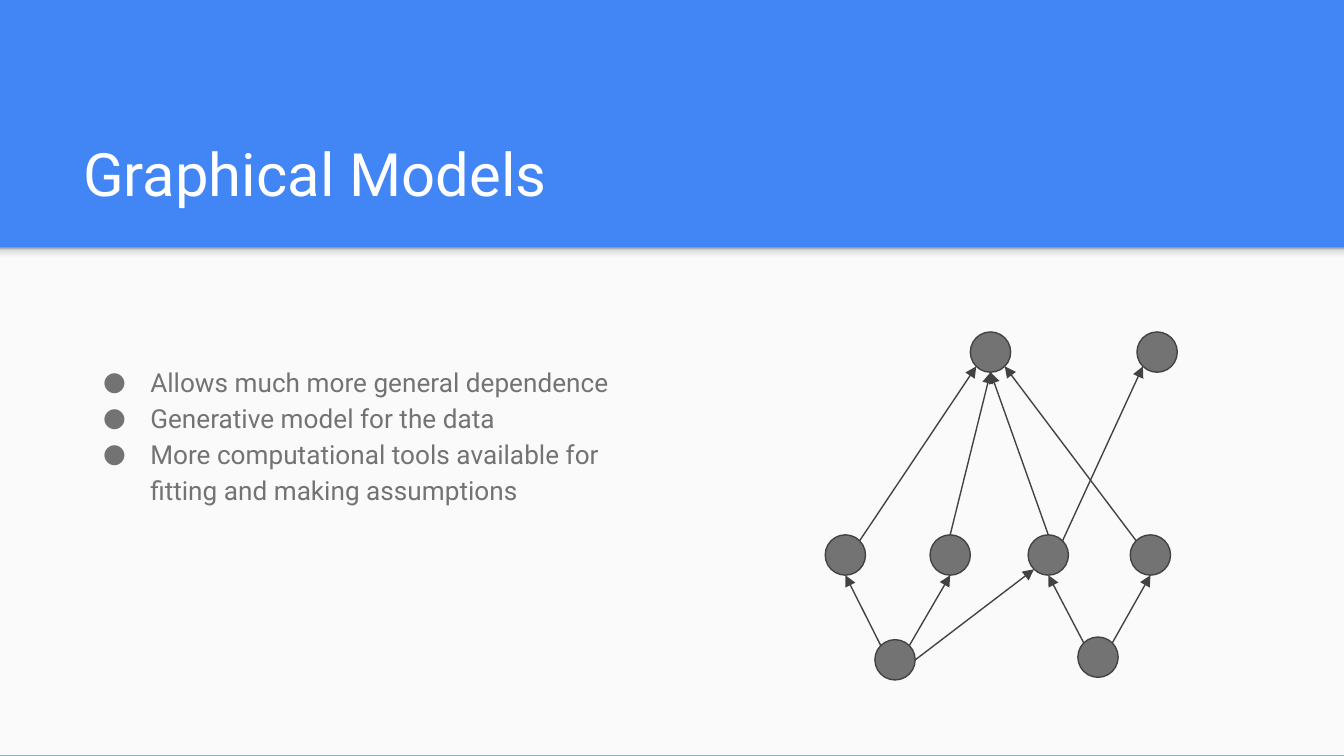
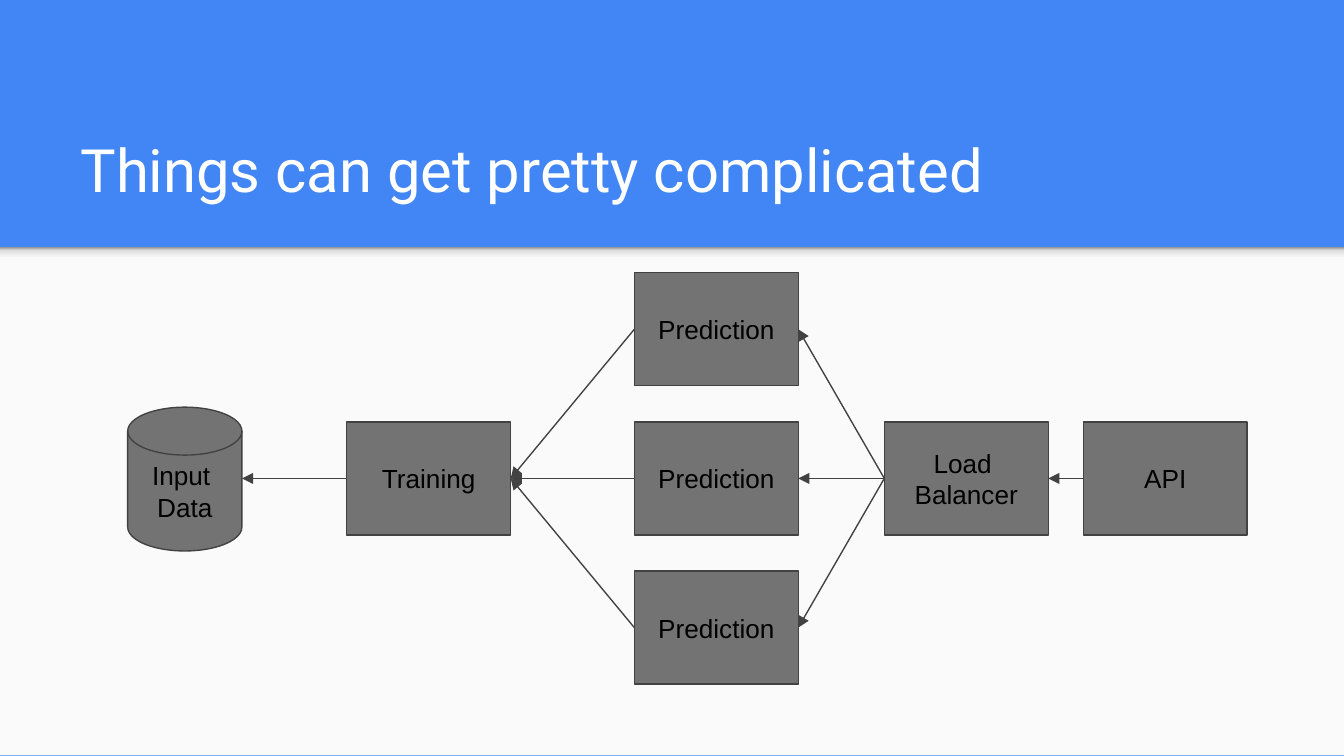
import math
from dataclasses import dataclass

import pptx
import pptx.dml.color
import pptx.enum.dml
import pptx.enum.shapes
import pptx.enum.text
import pptx.oxml
import pptx.oxml.ns
import pptx.util
from pptx.util import Inches, Pt

SHAPE = pptx.enum.shapes.MSO_SHAPE
ANCHOR = pptx.enum.text.MSO_ANCHOR
ALIGN = pptx.enum.text.PP_ALIGN
NS = pptx.oxml.ns.nsdecls("a")


@dataclass(frozen=True)
class Theme:
    band: str = "4285F4"
    panel: str = "FAFAFA"
    node: str = "737373"
    line: str = "424242"
    title: str = "FFFFFF"
    body: str = "737373"
    label: str = "000000"
    shadow: tuple = ((0, "F9F9F9"), (36, "F9F9F9"), (80, "DEDEDE"), (100, "999999"))
    text_font: str = "Roboto"
    label_font: str = "Arial"
    title_size: int = 32
    text_size: int = 14
    line_width: float = 0.75


THEME = Theme()


@dataclass(frozen=True)
class Node:
    """A circle of the graph, placed by its centre."""
    x: float
    y: float

    def edge(self, angle: float) -> tuple[float, float]:
        """Point on the rim, counter-clockwise from the right, in degrees."""
        a = math.radians(angle)
        return self.x + RADIUS * math.cos(a), self.y - RADIUS * math.sin(a)


@dataclass(frozen=True)
class Box:
    """A rectangle of the pipeline; row 0 is the middle row."""
    left: float
    row: int
    lines: tuple[str, ...]


# Shared helpers
def rgb(color: str) -> pptx.dml.color.RGBColor:
    return pptx.dml.color.RGBColor.from_string(color)


def add_run(p, text: str, size: int, font: str, color: str) -> None:
    r = p.add_run()
    r.text = text
    r.font.size = Pt(size)
    r.font.name = font
    r.font.color.rgb = rgb(color)


def add_text_box(s, left: float, top: float, width: float, height: float):
    tf = s.shapes.add_textbox(
        Inches(left), Inches(top), Inches(width), Inches(height)).text_frame
    tf.word_wrap = True
    set_insets(tf)
    return tf


def set_insets(tf) -> None:
    tf.margin_left = tf.margin_right = Inches(0.1)
    tf.margin_top = tf.margin_bottom = Inches(0.1)


def add_shape(s, kind, left: float, top: float, width: float, height: float,
              fill: str, outlined: bool = True):
    sp = s.shapes.add_shape(
        kind, Inches(left), Inches(top), Inches(width), Inches(height))
    sp.shadow.inherit = False
    sp.fill.solid()
    sp.fill.fore_color.rgb = rgb(fill)
    if outlined:
        sp.line.color.rgb = rgb(THEME.line)
        sp.line.width = Pt(THEME.line_width)
    else:
        sp.line.fill.background()
    return sp


def add_arrow(s, start: tuple[float, float] = (0, 0), end: tuple[float, float] = (0, 0)):
    cx = s.shapes.add_connector(
        pptx.enum.shapes.MSO_CONNECTOR.STRAIGHT, *map(Inches, start + end))
    cx.line.color.rgb = rgb(THEME.line)
    cx.line.width = Pt(THEME.line_width)
    cx.line._get_or_add_ln().append(
        pptx.oxml.parse_xml(f'<a:tailEnd {NS} type="triangle"/>'))
    cx._element.spPr.append(pptx.oxml.parse_xml(f"<a:effectLst {NS}/>"))
    return cx


def add_slide(prs, title: str, left: float, top: float):
    """Slide with the blue band, the light panel, its shadow and the title."""
    s = prs.slides.add_slide(prs.slide_layouts[6])
    s.background.fill.solid()
    s.background.fill.fore_color.rgb = rgb(THEME.band)
    add_shape(s, SHAPE.RECTANGLE, 0, 1.84, 10, 3.78, THEME.panel, outlined=False)

    strip = add_shape(s, SHAPE.RECTANGLE, 0, 1.84, 10, 0.12, THEME.panel, outlined=False)
    strip.fill.gradient()
    strip.fill.gradient_angle = 90
    stops = strip._element.spPr.find(".//" + pptx.oxml.ns.qn("a:gsLst"))
    for old in list(stops):
        stops.remove(old)
    for pos, color in THEME.shadow:
        stops.append(pptx.oxml.parse_xml(
            f'<a:gs {NS} pos="{pos * 1000}"><a:srgbClr val="{color}"/></a:gs>'))

    tf = add_text_box(s, left, top, 8.99, 0.84)
    tf.vertical_anchor = ANCHOR.BOTTOM
    add_run(tf.paragraphs[0], title, THEME.title_size, THEME.text_font, THEME.title)
    return s


# Slide 1: bullets and a directed graph
RADIUS = 0.15
BULLETS = (
    "Allows much more general dependence",
    "Generative model for the data",
    "More computational tools available for fitting and making assumptions",
)
NODES = {
    "top_left": Node(7.37, 2.62), "top_right": Node(8.61, 2.62),
    "mid_1": Node(6.29, 4.13), "mid_2": Node(7.07, 4.13),
    "mid_3": Node(7.8, 4.13), "mid_4": Node(8.56, 4.13),
    "low_left": Node(6.66, 4.91), "low_right": Node(8.17, 4.89),
}
# From node and rim angle, to node and rim angle
EDGES = (
    ("mid_1", 45, "top_left", 225),
    ("mid_2", 90, "top_left", 270),
    ("mid_3", 90, "top_left", 270),
    ("mid_4", 135, "top_left", 315),
    ("mid_3", 45, "top_right", 225),
    ("low_left", 135, "mid_1", 270),
    ("low_left", 45, "mid_2", 270),
    ("low_left", 0, "mid_3", 225),
    ("low_right", 135, "mid_3", 270),
    ("low_right", 45, "mid_4", 270),
)


def add_bullets(s) -> None:
    tf = add_text_box(s, 0.52, 2.1, 4.37, 2.96)
    tf.margin_top = Inches(0.59)
    for i, text in enumerate(BULLETS):
        p = tf.paragraphs[0] if i == 0 else tf.add_paragraph()
        p.line_spacing = 1.15
        pPr = p._p.get_or_add_pPr()
        pPr.set("marL", str(Inches(0.5)))
        pPr.set("indent", str(Inches(-0.35)))
        pPr.append(pptx.oxml.parse_xml(
            f'<a:buClr {NS}><a:srgbClr val="{THEME.body}"/></a:buClr>'))
        pPr.append(pptx.oxml.parse_xml(
            f'<a:buFont {NS} typeface="{THEME.text_font}"/>'))
        pPr.append(pptx.oxml.parse_xml(f'<a:buChar {NS} char="●"/>'))
        add_run(p, text, THEME.text_size, THEME.text_font, THEME.body)


def build_graph_slide(prs) -> None:
    s = add_slide(prs, "Graphical Models", 0.52, 0.81)
    add_bullets(s)
    for n in NODES.values():
        add_shape(s, SHAPE.OVAL, n.x - RADIUS, n.y - RADIUS,
                  2 * RADIUS, 2 * RADIUS, THEME.node)
    for source, out, target, into in EDGES:
        add_arrow(s, NODES[source].edge(out), NODES[target].edge(into))


# Slide 2: pipeline of services
MIDDLE, ROW_STEP = 3.56, 1.11
BOX_W, BOX_H = 1.22, 0.84
LEFT_SIDE, RIGHT_SIDE = 1, 3
BOXES = {
    "training": Box(2.58, 0, ("Training",)),
    "predict_top": Box(4.72, -1, ("Prediction",)),
    "predict_mid": Box(4.72, 0, ("Prediction",)),
    "predict_low": Box(4.72, 1, ("Prediction",)),
    "balancer": Box(6.58, 0, ("Load ", "Balancer")),
    "api": Box(8.06, 0, ("API",)),
}
PREDICTORS = ("predict_top", "predict_mid", "predict_low")
FLOWS = (
    *((name, "training") for name in PREDICTORS),
    *(("balancer", name) for name in PREDICTORS),
    ("api", "balancer"),
)


def add_label(sp, lines: tuple[str, ...]) -> None:
    tf = sp.text_frame
    tf.word_wrap = True
    tf.vertical_anchor = ANCHOR.MIDDLE
    set_insets(tf)
    for i, line in enumerate(lines):
        p = tf.paragraphs[0] if i == 0 else tf.add_paragraph()
        p.alignment = ALIGN.CENTER
        add_run(p, line, THEME.text_size, THEME.label_font, THEME.label)


def build_pipeline_slide(prs) -> None:
    s = add_slide(prs, "Things can get pretty complicated", 0.5, 0.78)
    store = add_shape(s, SHAPE.FLOWCHART_MAGNETIC_DISK, 0.95, 3.03, 0.85, 1.07, THEME.node)
    add_label(store, ("Input ", "Data"))

    shapes = {}
    for name, box in BOXES.items():
        top = MIDDLE + box.row * ROW_STEP - BOX_H / 2
        shapes[name] = add_shape(
            s, SHAPE.RECTANGLE, box.left, top, BOX_W, BOX_H, THEME.node)
        add_label(shapes[name], box.lines)

    for source, target in FLOWS:
        cx = add_arrow(s)
        cx.begin_connect(shapes[source], LEFT_SIDE)
        cx.end_connect(shapes[target], RIGHT_SIDE)
    to_store = add_arrow(s, (2.58, MIDDLE), (1.8, MIDDLE))
    to_store.begin_connect(shapes["training"], LEFT_SIDE)


def main() -> None:
    prs = pptx.Presentation()
    prs.slide_width = Inches(10)
    prs.slide_height = Inches(10) * 9 // 16
    build_graph_slide(prs)
    build_pipeline_slide(prs)
    prs.save("out.pptx")


if __name__ == "__main__":
    main()
